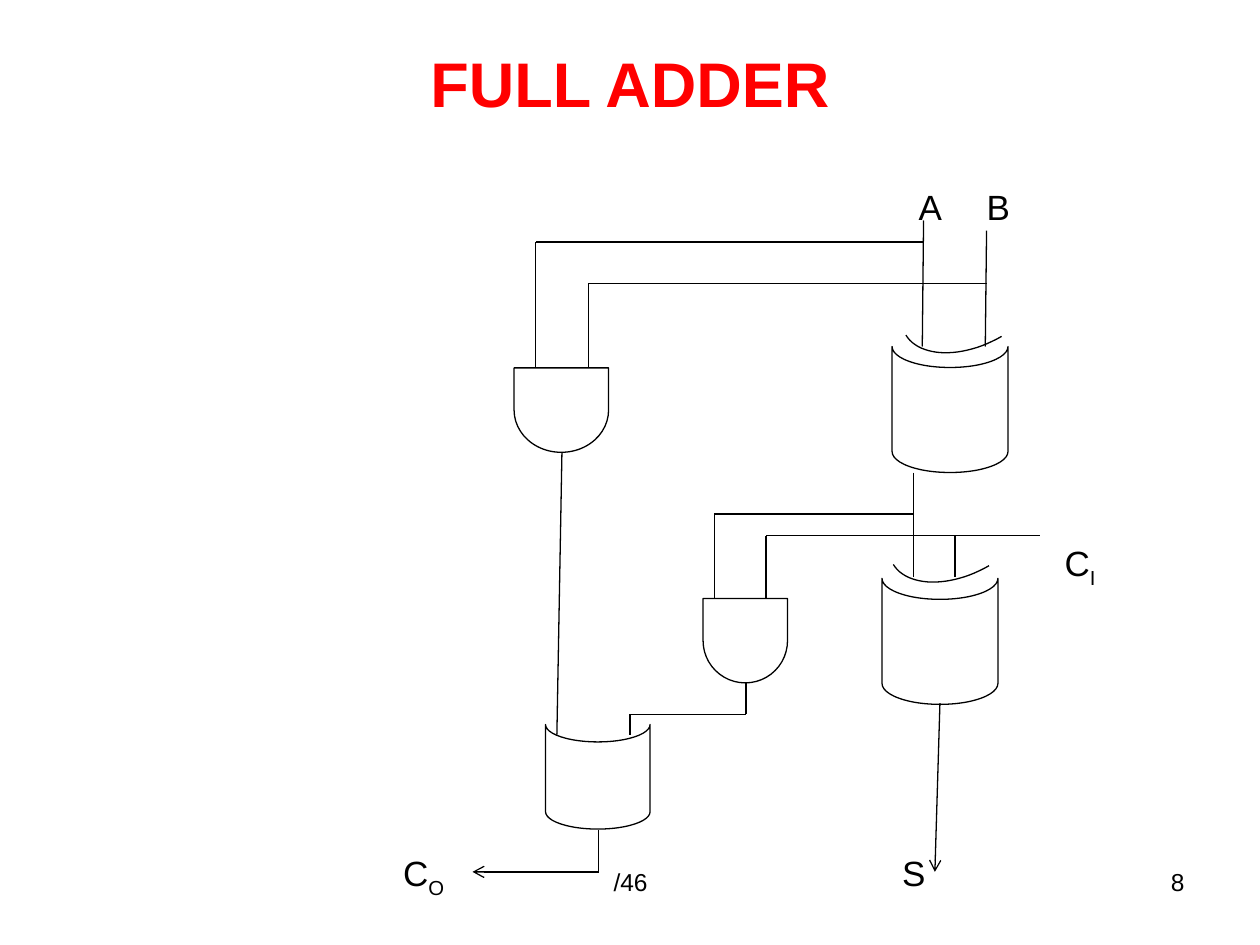
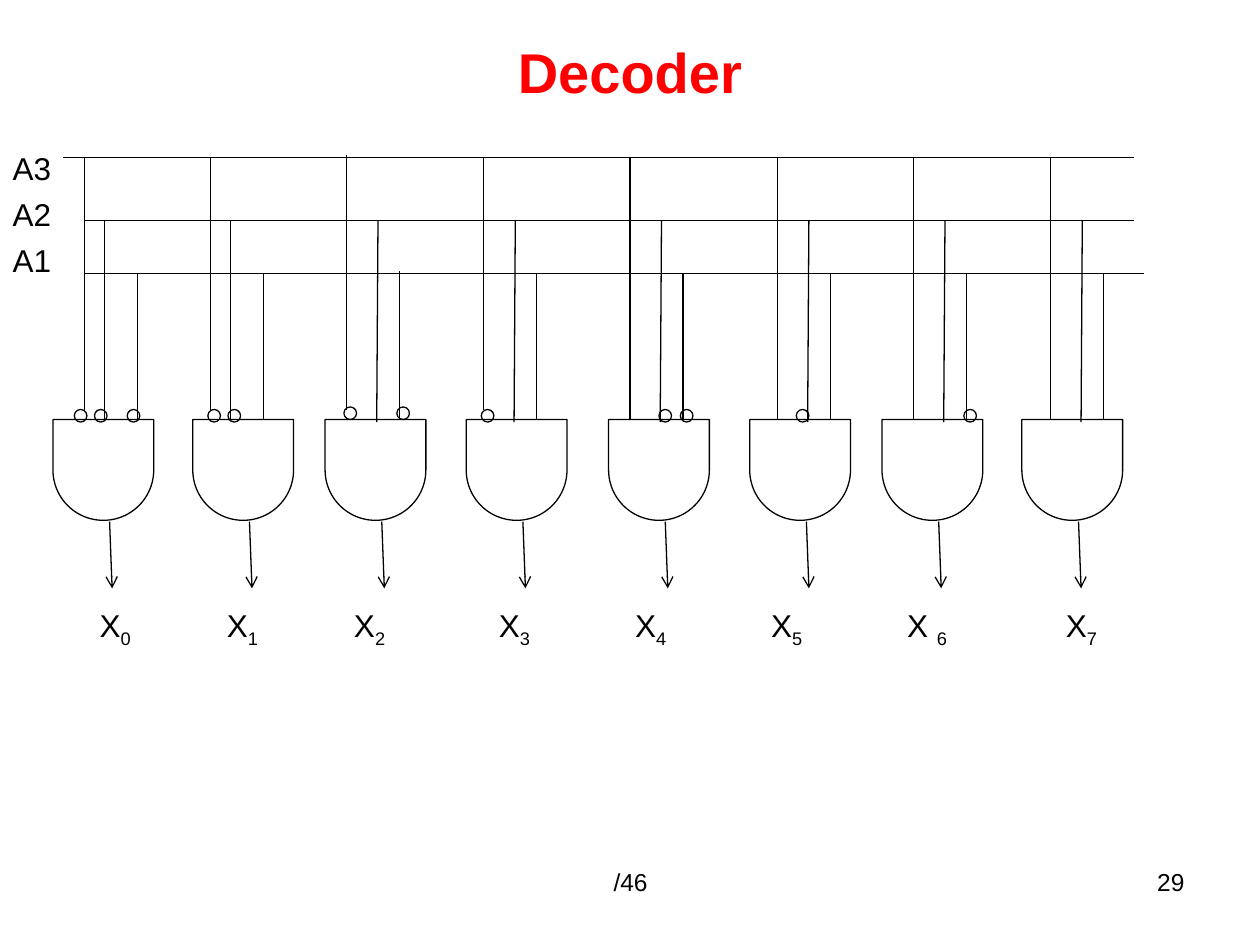
from dataclasses import dataclass
from itertools import pairwise

from lxml import etree
from pptx import Presentation
from pptx.dml.color import RGBColor
from pptx.enum import shapes, text
from pptx.oxml import ns
from pptx.util import Inches, Pt


@dataclass(frozen=True)
class Theme:
    font: str = "Arial"
    ink: RGBColor = RGBColor(0, 0, 0)
    title: RGBColor = RGBColor(255, 0, 0)
    line: float = 0.75
    footer: int = 14


THEME = Theme()
AND_GATE = shapes.MSO_SHAPE.FLOWCHART_DELAY
OR_GATE = shapes.MSO_SHAPE.FLOWCHART_STORED_DATA
BUBBLE = shapes.MSO_SHAPE.OVAL


def write(frame, words, size, color=THEME.ink, bold=False, align=text.PP_ALIGN.LEFT,
          anchor=text.MSO_ANCHOR.TOP, margins=(0, 0)):
    """Fill a text frame; words after an underscore become a subscript."""
    frame.word_wrap = True
    frame.auto_size = text.MSO_AUTO_SIZE.NONE
    frame.vertical_anchor = anchor
    frame.margin_left = frame.margin_right = Inches(margins[0])
    frame.margin_top = frame.margin_bottom = Inches(margins[1])
    para = frame.paragraphs[0]
    para.alignment = align
    for level, part in enumerate(words.split("_")):
        span = para.add_run()
        span.text = part
        span.font.name = THEME.font
        span.font.size = Pt(size)
        span.font.bold = bold
        span.font.color.rgb = color
        if level:
            span._r.get_or_add_rPr().set("baseline", "-25000")


def draw_wire(page, points, arrow=False):
    """Join the points with straight lines, the last one with an optional arrowhead."""
    for start, end in pairwise(points):
        wire = page.shapes.add_connector(
            shapes.MSO_CONNECTOR.STRAIGHT, *(Inches(value) for value in (*start, *end)))
        wire.line.color.rgb = THEME.ink
        wire.line.width = Pt(THEME.line)
        etree.SubElement(wire._element.spPr, ns.qn("a:effectLst"))
    if arrow:
        etree.SubElement(wire.line._get_or_add_ln(), ns.qn("a:tailEnd"), type="arrow")


# Full adder: labels (words, left, top), gates (kind, left, top, width, height, rotation)
adder = {
    "title": "FULL ADDER", "title size": 36, "title height": 0.7, "number": "8",
    "label size": 20,
    "labels": [("A", 7.29, 1.47), ("B", 7.83, 1.47), ("C_I", 8.45, 4.3),
               ("C_O", 3.2, 6.76), ("S", 7.16, 6.76)],
    "gates": [(OR_GATE, 7.04, 2.79, 1, 0.92, 270), (OR_GATE, 6.96, 4.63, 1, 0.92, 270),
              (OR_GATE, 4.33, 5.75, 0.83, 0.83, 270),
              (AND_GATE, 5.58, 4.75, 0.67, 0.67, 90),
              (AND_GATE, 4.12, 2.88, 0.67, 0.75, 90)],
    "xor offsets": [(0, 0), (-0.1, 1.82)],
    "wires": [
        [(7.33, 1.75), (7.32, 2.75)],
        [(7.83, 1.83), (7.82, 2.75)],
        [(7.33, 1.92), (4.25, 1.92), (4.25, 2.92)],
        [(7.83, 2.25), (4.67, 2.25), (4.67, 2.92)],
        [(7.25, 3.75), (7.25, 4.58)],
        [(7.58, 4.25), (7.58, 4.58)],
        [(8.25, 4.25), (6.08, 4.25), (6.08, 4.75)],
        [(7.25, 4.08), (5.67, 4.08), (5.67, 4.75)],
        [(5.92, 5.42), (5.92, 5.67), (5, 5.67), (5, 5.83)],
        [(4.46, 3.59), (4.42, 5.83)],
    ],
    "arrows": [[(4.75, 6.59), (4.75, 6.92), (3.75, 6.92)], [(7.46, 5.58), (7.42, 6.92)]],
}

# Decoder: one AND gate per output; each zero bit of the output number is inverted
decoder = {
    "title": "Decoder", "title size": 32, "title height": 0.53, "number": "29",
    "label size": 18,
    "labels": [(name, 0.1, 1.18 + 0.365 * row) for row, name in enumerate(["A3", "A2", "A1"])],
    "gates": [],
    "xor offsets": [],
    "wires": [[(0.5, 1.25), (9, 1.25)], [(0.67, 1.75), (9, 1.75)], [(0.67, 2.17), (9.08, 2.17)]],
    "arrows": [],
}
gate_lefts = [0.42, 1.53, 2.58, 3.7, 4.83, 5.95, 7, 8.11]
first_inputs = [0.67, 1.67, 2.75, 3.84, 5, 6.17, 7.25, 8.34]
output_lefts = [0.79, 1.8, 2.81, 3.96, 5.04, 6.12, 7.2, 8.46]
for output, (left, first, label_left) in enumerate(zip(gate_lefts, first_inputs, output_lefts)):
    decoder["gates"].append((AND_GATE, left, 3.33, 0.8, 0.8, 90))
    decoder["arrows"].append([(left + 0.45, 4.14), (left + 0.47, 4.67)])
    name = "X _6" if output == 6 else f"X_{output}"
    decoder["labels"].append((name, label_left, 4.81))
    second_step = 0.16 if output < 2 else 0.25
    bubble_shift = {0: -0.08, 5: -0.1}.get(output, -0.02)
    lift = 0.02 if output == 2 else 0
    for bit, step, bus in [(4, 0, 1.25), (2, second_step, 1.75), (1, 0.42, 2.17)]:
        inverted = not output & bit
        slant = 0.01 if bit == 2 and output > 1 else 0
        bottom = 3.25 if inverted and bit == 4 else 3.35 if slant else 3.33
        top = bus if bit == 2 else bus - lift
        decoder["wires"].append([(first + step, top), (first + step - slant, bottom)])
        if inverted:
            decoder["gates"].append(
                (BUBBLE, first + step + bubble_shift, 3.25 - lift, 0.1, 0.1, 0))

# Cubic curve that marks the input side of an exclusive-or gate
xor_curve = [(7.95, 2.67), (7.64, 2.85), (7.3, 2.84), (7.19, 2.66)]
steps = 24
xor_points = []
for step in range(steps + 1):
    t = step / steps
    weights = [(1 - t) ** 3, 3 * t * (1 - t) ** 2, 3 * t ** 2 * (1 - t), t ** 3]
    xor_points.append([sum(w * point[axis] for w, point in zip(weights, xor_curve))
                       for axis in (0, 1)])

deck = Presentation()
deck.slide_width, deck.slide_height = Inches(10), Inches(7.5)

for circuit in (adder, decoder):
    page = deck.slides.add_slide(deck.slide_layouts[5])
    title = page.shapes.title
    title.left, title.top = Inches(0.5), Inches(0.3)
    title.width, title.height = Inches(9), Inches(circuit["title height"])
    write(title.text_frame, circuit["title"], circuit["title size"], color=THEME.title,
          bold=True, align=text.PP_ALIGN.CENTER, anchor=text.MSO_ANCHOR.MIDDLE)

    for words, left, top in circuit["labels"]:
        box = page.shapes.add_textbox(Inches(left), Inches(top), Inches(0.6), Inches(0.35))
        write(box.text_frame, words, circuit["label size"])

    outlines = []
    for kind, left, top, width, height, rotation in circuit["gates"]:
        gate = page.shapes.add_shape(
            kind, Inches(left), Inches(top), Inches(width), Inches(height))
        gate.rotation = rotation
        outlines.append(gate)
    for across, down in circuit["xor offsets"]:
        points = [(Inches(x + across), Inches(y + down)) for x, y in xor_points]
        builder = page.shapes.build_freeform(*points[0])
        builder.add_line_segments(points[1:], close=False)
        outlines.append(builder.convert_to_shape())
    for outline in outlines:
        outline.shadow.inherit = False
        outline.fill.background()
        outline.line.color.rgb = THEME.ink
        outline.line.width = Pt(THEME.line)

    for points in circuit["wires"]:
        draw_wire(page, points)
    for points in circuit["arrows"]:
        draw_wire(page, points, arrow=True)

    for words, left, width, align in [
            (circuit["number"], 7.17, 2.33, text.PP_ALIGN.RIGHT),
            ("/46", 3.42, 3.17, text.PP_ALIGN.CENTER)]:
        box = page.shapes.add_textbox(Inches(left), Inches(6.83), Inches(width), Inches(0.52))
        write(box.text_frame, words, THEME.footer, align=align, margins=(0.1, 0.05))

deck.save("out.pptx")
